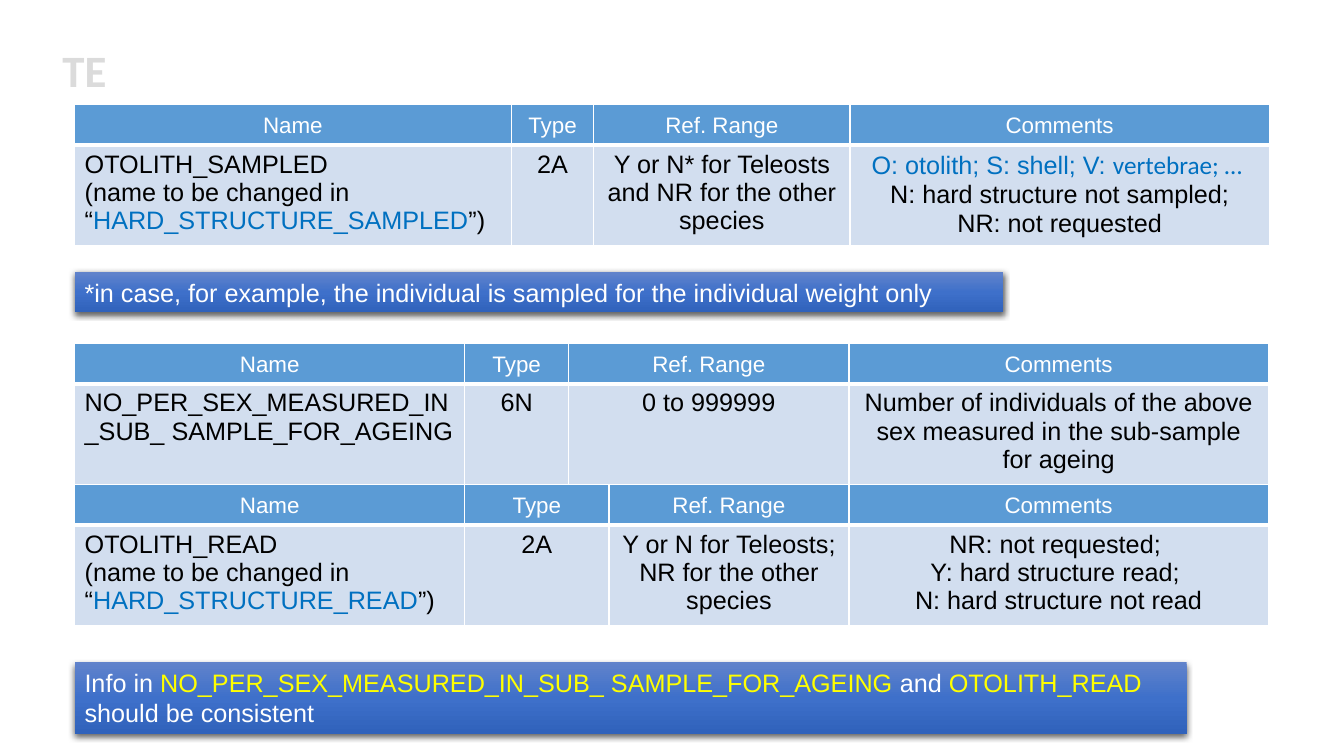
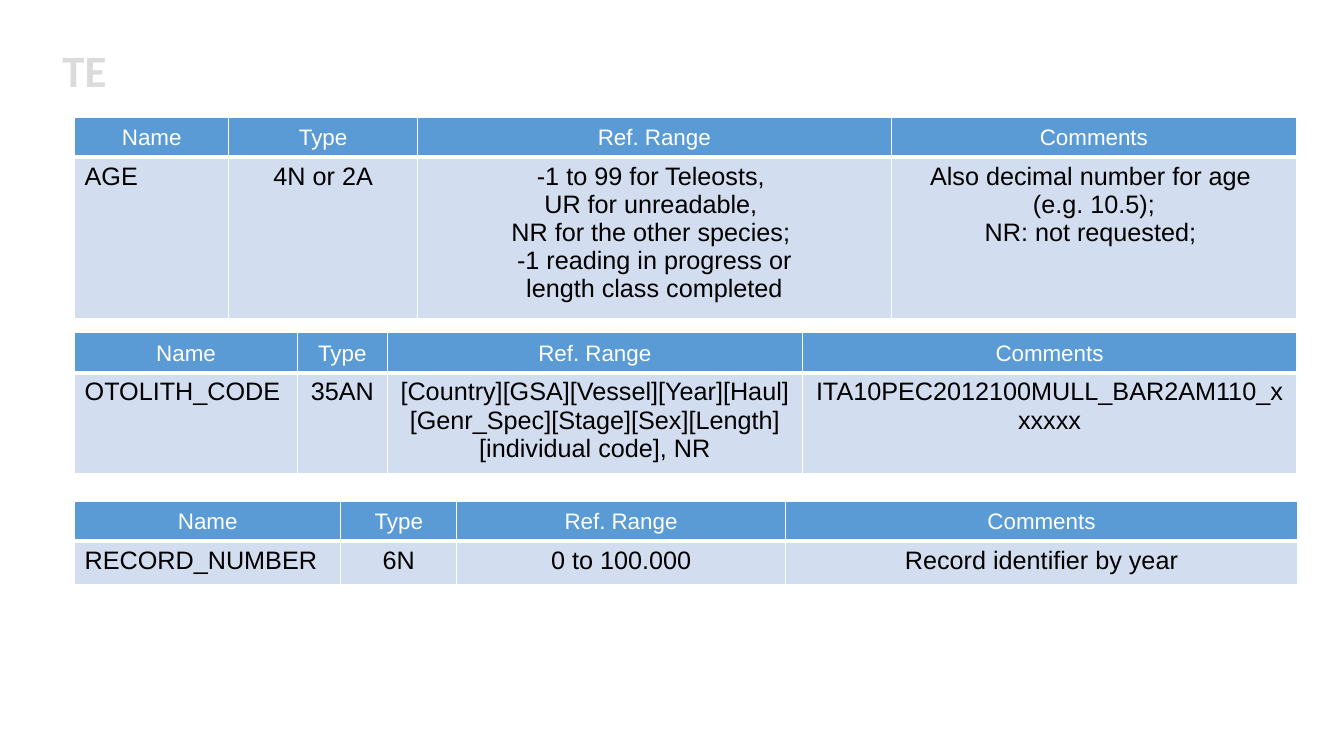
from dataclasses import dataclass
from typing import NamedTuple, Optional, Union

from pptx import Presentation
from pptx.dml.color import RGBColor
from pptx.enum.shapes import MSO_SHAPE
from pptx.enum.text import MSO_ANCHOR, PP_ALIGN
from pptx.oxml import parse_xml
from pptx.oxml.ns import nsdecls
from pptx.util import Inches, Pt

RECT = MSO_SHAPE.RECTANGLE
TOP, MIDDLE = MSO_ANCHOR.TOP, MSO_ANCHOR.MIDDLE
LEFT, CENTER = PP_ALIGN.LEFT, PP_ALIGN.CENTER

# Shared style
WHITE = RGBColor(0xFF, 0xFF, 0xFF)
BLACK = RGBColor(0, 0, 0)
GRAY = RGBColor(0xDB, 0xDB, 0xDB)
HEAD = RGBColor(0x5B, 0x9B, 0xD5)
BODY = RGBColor(0xD2, 0xDE, 0xEF)
BLUE = RGBColor(0x00, 0x70, 0xC0)
YELLOW = RGBColor(0xFF, 0xFF, 0x00)
SHADE = RGBColor(0, 0, 0)
STOPS = ((0, RGBColor(0x61, 0x83, 0xCB)),
         (50, RGBColor(0x3E, 0x70, 0xCA)),
         (100, RGBColor(0x30, 0x62, 0xBB)))
SANS, TITLE = "Arial", "Calibri"
EDGE = 0.74
HEAD_H = 0.4
LABELS = ("Name", "Type", "Ref. Range", "Comments")
THIN, THICK = Pt(1), Pt(3)


class Run(NamedTuple):
    text: str
    color: Optional[RGBColor] = None
    face: Optional[str] = None


Line = Union[str, tuple[Run, ...]]
Text = tuple[Line, ...]


@dataclass
class Field:
    """A table that describes one data field."""
    top: float
    height: float
    widths: tuple[float, ...]
    cells: tuple[Text, ...]


@dataclass
class Note:
    """A shaded band with a remark."""
    top: float
    width: float
    height: float
    text: Text


def write(frame, text: Text, size: int, color: RGBColor, align=LEFT,
          face: str = SANS, bold: bool = False) -> None:
    frame.word_wrap = True
    for i, line in enumerate(text):
        para = frame.paragraphs[0] if i == 0 else frame.add_paragraph()
        para.alignment = align
        font = para.font
        font.size, font.name, font.bold = Pt(size), face, bold
        font.color.rgb = color
        for part in (Run(line),) if isinstance(line, str) else line:
            run = para.add_run()
            run.text = part.text
            if part.color is not None:
                run.font.color.rgb = part.color
            if part.face:
                run.font.name = part.face


def border(cell, top: int, bottom: int) -> None:
    sides = (("L", THIN), ("R", THIN), ("T", top), ("B", bottom))
    props = cell._tc.get_or_add_tcPr()
    for i, (side, width) in enumerate(sides):
        props.insert(i, parse_xml(
            f'<a:ln{side} {nsdecls("a")} w="{width}"><a:solidFill>'
            f'<a:srgbClr val="{WHITE}"/></a:solidFill></a:ln{side}>'))


def fill(cell, color: RGBColor) -> None:
    cell.fill.solid()
    cell.fill.fore_color.rgb = color


def add_field(slide, field: Field) -> None:
    table = slide.shapes.add_table(
        2, len(LABELS), Inches(EDGE), Inches(field.top),
        Inches(sum(field.widths)), Inches(field.height)).table
    table.first_row = table.horz_banding = False
    table.rows[0].height = Inches(HEAD_H)
    table.rows[1].height = Inches(field.height - HEAD_H)
    for i, width in enumerate(field.widths):
        table.columns[i].width = Inches(width)
        # Header cell
        head = table.cell(0, i)
        fill(head, HEAD)
        head.vertical_anchor = MIDDLE
        head.margin_left = head.margin_right = head.margin_top = Inches(0.01)
        head.margin_bottom = 0
        write(head.text_frame, (LABELS[i],), 16, WHITE, CENTER)
        border(head, THIN, THICK)
        # Value cell
        cell = table.cell(1, i)
        fill(cell, BODY)
        write(cell.text_frame, field.cells[i], 18, BLACK,
              CENTER if i else LEFT)
        border(cell, THICK, THIN)


def add_note(slide, note: Note) -> None:
    shape = slide.shapes.add_shape(RECT, Inches(EDGE), Inches(note.top),
                                   Inches(note.width), Inches(note.height))
    shape.line.fill.background()
    shape.shadow.inherit = False
    props = shape._element.spPr
    # Gradient and soft shadow
    stops = "".join(f'<a:gs pos="{at * 1000}"><a:srgbClr val="{color}"/></a:gs>'
                    for at, color in STOPS)
    props.insert(2, parse_xml(
        f'<a:gradFill {nsdecls("a")} rotWithShape="1"><a:gsLst>{stops}'
        '</a:gsLst><a:lin ang="5400000" scaled="0"/></a:gradFill>'))
    props[-1].append(parse_xml(
        f'<a:outerShdw {nsdecls("a")} blurRad="{Pt(4.5)}" dist="{Pt(1.5)}" '
        f'dir="5400000" rotWithShape="0"><a:srgbClr val="{SHADE}">'
        '<a:alpha val="63000"/></a:srgbClr></a:outerShdw>'))
    shape.text_frame.vertical_anchor = TOP
    write(shape.text_frame, note.text, 18, WHITE)


def add_title(slide, text: str) -> None:
    box = slide.shapes.add_textbox(Inches(0.52), Inches(0.37),
                                   Inches(0.88), Inches(0.64))
    write(box.text_frame, (text,), 32, GRAY, face=TITLE, bold=True)


def rename(old: str, new: str) -> Text:
    return (old, (Run("(name to be changed in “"), Run(new, BLUE), Run("”)")))


# Slide contents
SAMPLING = (
    Field(1.04, 1.4, (4.33, 0.82, 2.54, 4.16), (
        rename("OTOLITH_SAMPLED", "HARD_STRUCTURE_SAMPLED"),
        ("2A",),
        ("Y or N* for Teleosts and NR for the other species",),
        ((Run("O: otolith; S: shell; V: ", BLUE),
          Run("vertebrae; … ", BLUE, TITLE)),
         "N: hard structure not sampled;",
         "NR: not requested"))),
    Note(2.7, 9.21, 0.4, (
        "*in case, for example, the individual is sampled "
        "for the individual weight only",)),
    Field(3.41, 1.4, (3.87, 1.03, 2.78, 4.16), (
        ("NO_PER_SEX_MEASURED_IN_SUB_ SAMPLE_FOR_AGEING",),
        ("6N",),
        ("0 to 999999",),
        ("Number of individuals of the above sex measured "
         "in the sub-sample for ageing",))),
    Field(4.81, 1.4, (3.87, 1.43, 2.38, 4.16), (
        rename("OTOLITH_READ", "HARD_STRUCTURE_READ"),
        ("2A",),
        ("Y or N for Teleosts;", "NR for the other species"),
        ("NR: not requested; ", "Y: hard structure read; ",
         "N: hard structure not read"))),
    Note(6.57, 11.03, 0.71, (
        (Run("Info in "),
         Run("NO_PER_SEX_MEASURED_IN_SUB_ SAMPLE_FOR_AGEING ", YELLOW),
         Run("and "), Run("OTOLITH_READ", YELLOW)),
        "should be consistent")),
)

AGEING = (
    Field(1.16, 2, (1.53, 1.87, 4.7, 4.02), (
        ("AGE",),
        ("4N or 2A",),
        ("-1 to 99 for Teleosts, ", "UR for unreadable, ",
         "NR for the other species; ", "-1 reading in progress or",
         "length class completed"),
        ("Also decimal number for age ", "(e.g. 10.5);",
         "NR: not requested; "))),
    Field(3.3, 1.4, (2.21, 0.89, 4.12, 4.9), (
        ("OTOLITH_CODE",),
        ("35AN",),
        ("[Country][GSA][Vessel][Year][Haul]",
         "[Genr_Spec][Stage][Sex][Length]", "[individual code], NR"),
        ("ITA10PEC2012100MULL_BAR2AM110_xxxxxx",))),
    Field(4.97, 0.83, (2.64, 1.15, 3.26, 5.08), (
        ("RECORD_NUMBER",),
        ("6N",),
        ("0 to 100.000",),
        ("Record identifier by year",))),
)


def main() -> None:
    deck = Presentation()
    deck.slide_width, deck.slide_height = Inches(13.33), Inches(7.5)
    for parts in (SAMPLING, AGEING):
        slide = deck.slides.add_slide(deck.slide_layouts[6])
        add_title(slide, "TE")
        for part in parts:
            if isinstance(part, Field):
                add_field(slide, part)
            else:
                add_note(slide, part)
    deck.save("out.pptx")


if __name__ == "__main__":
    main()
